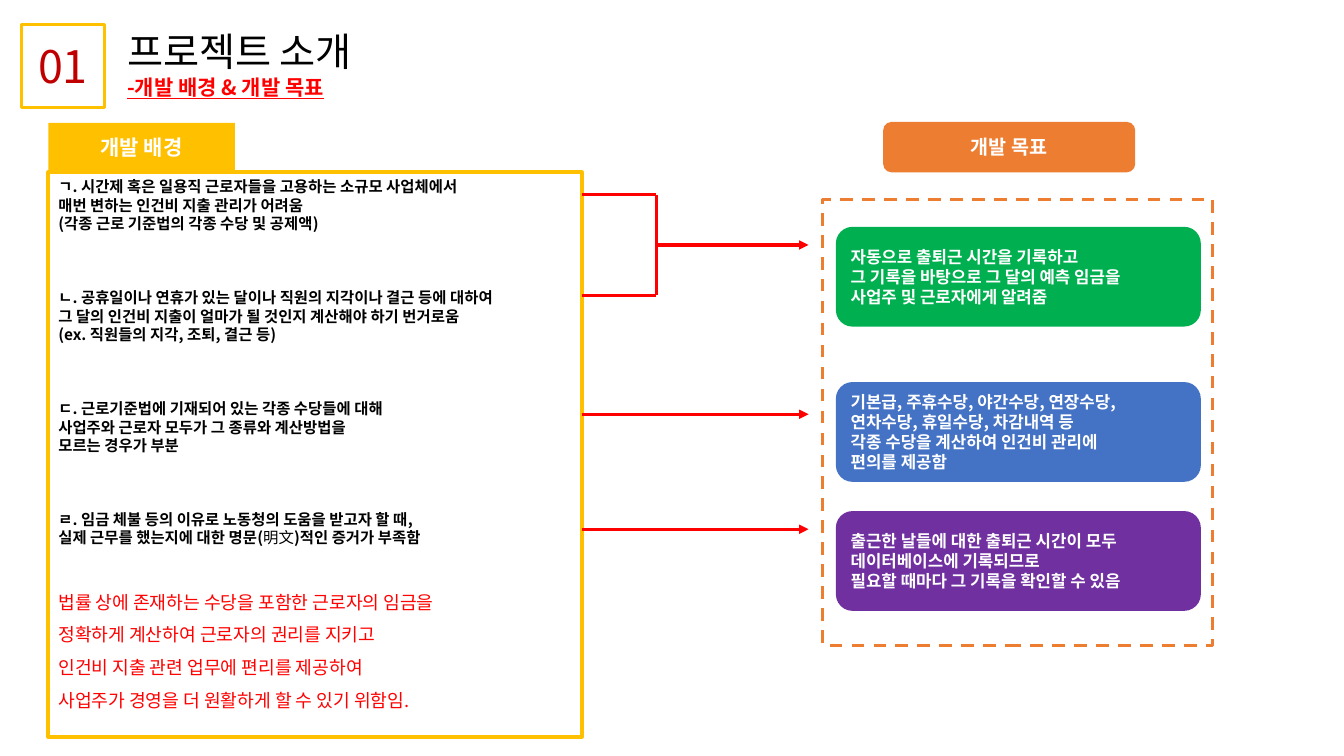
import pptx
import pptx.util
import pptx.dml.color
import pptx.enum.dml
import pptx.enum.shapes
import pptx.enum.text
import pptx.oxml
import pptx.oxml.ns
from pptx.util import Inches

RGBColor = pptx.dml.color.RGBColor
Shapes = pptx.enum.shapes.MSO_SHAPE
Align = pptx.enum.text.PP_ALIGN
Anchor = pptx.enum.text.MSO_ANCHOR

BLACK = RGBColor(0x00, 0x00, 0x00)
WHITE = RGBColor(0xFF, 0xFF, 0xFF)
RED = RGBColor(0xFF, 0x00, 0x00)
DARK_RED = RGBColor(0xC0, 0x00, 0x00)
GOLD = RGBColor(0xFF, 0xC0, 0x00)
ORANGE = RGBColor(0xED, 0x7D, 0x31)
GREEN = RGBColor(0x00, 0xB0, 0x50)
BLUE = RGBColor(0x44, 0x72, 0xC4)
PURPLE = RGBColor(0x70, 0x30, 0xA0)
FONT = "Noto Sans CJK KR"

PROBLEMS = [
    ["ㄱ. 시간제 혹은 일용직 근로자들을 고용하는 소규모 사업체에서",
     "매번 변하는 인건비 지출 관리가 어려움",
     "(각종 근로 기준법의 각종 수당 및 공제액)"],
    ["ㄴ. 공휴일이나 연휴가 있는 달이나 직원의 지각이나 결근 등에 대하여",
     "그 달의 인건비 지출이 얼마가 될 것인지 계산해야 하기 번거로움",
     "(ex. 직원들의 지각, 조퇴, 결근 등)"],
    ["ㄷ. 근로기준법에 기재되어 있는 각종 수당들에 대해",
     "사업주와 근로자 모두가 그 종류와 계산방법을",
     "모르는 경우가 부분"],
    ["ㄹ. 임금 체불 등의 이유로 노동청의 도움을 받고자 할 때,",
     "실제 근무를 했는지에 대한 명문(|明文|)적인 증거가 부족함"],
]
PURPOSE = [
    "법률 상에 존재하는 수당을 포함한 근로자의 임금을",
    "정확하게 계산하여 근로자의 권리를 지키고",
    "인건비 지출 관련 업무에 편리를 제공하여",
    "사업주가 경영을 더 원활하게 할 수 있기 위함임.",
]
GOALS = [
    (0.27, GREEN, ["자동으로 출퇴근 시간을 기록하고",
                   "그 기록을 바탕으로 그 달의 예측 임금을",
                   "사업주 및 근로자에게 알려줌"]),
    (1.81, BLUE, ["기본급, 주휴수당, 야간수당, 연장수당,",
                  "연차수당, 휴일수당, 차감내역 등",
                  "각종 수당을 계산하여 인건비 관리에",
                  "편의를 제공함"]),
    (3.09, PURPLE, ["출근한 날들에 대한 출퇴근 시간이 모두 데이터베이스에 기록되므로",
                    "필요할 때마다 그 기록을 확인할 수 있음"]),
]


def style_span(span, size, color, bold=False):
    """Set the font of one run for Latin and Korean letters."""
    span.font.name = FONT
    span.font.size = pptx.util.Pt(size)
    span.font.bold = bold
    span.font.color.rgb = color
    east = pptx.oxml.parse_xml(
        f'<a:ea {pptx.oxml.ns.nsdecls("a")} typeface="{FONT}"/>')
    span.font._element.find(pptx.oxml.ns.qn("a:latin")).addnext(east)


def write_lines(shape, lines, size, color, bold=False, align=Align.LEFT):
    """Write one formatted paragraph for each line."""
    shape.text_frame.text = "\n".join(lines)
    for para in shape.text_frame.paragraphs:
        para.alignment = align
        for span in para.runs:
            style_span(span, size, color, bold)


def add_box(page, kind, box, fill=None, line=None, width=0.0):
    """Add a flat shape in a box given in inches."""
    shape = page.shapes.add_shape(kind, *map(Inches, box))
    shape.shadow.inherit = False
    shape.text_frame.word_wrap = True
    shape.text_frame.vertical_anchor = Anchor.MIDDLE
    if fill is None:
        shape.fill.background()
    else:
        shape.fill.solid()
        shape.fill.fore_color.rgb = fill
    if line is None:
        shape.line.fill.background()
    else:
        shape.line.color.rgb = line
        shape.line.width = pptx.util.Pt(width)
    return shape


def add_line(page, start, end, arrow=False):
    """Add a red line, with an arrowhead at its end if wanted."""
    link = page.shapes.add_connector(
        pptx.enum.shapes.MSO_CONNECTOR.STRAIGHT, *map(Inches, start + end))
    link.line.color.rgb = RED
    link.line.width = pptx.util.Pt(2.25)
    names = pptx.oxml.ns.nsdecls("a")
    if arrow:
        link.line._get_or_add_ln().append(
            pptx.oxml.parse_xml(f'<a:tailEnd {names} type="triangle"/>'))
    link._element.spPr.append(pptx.oxml.parse_xml(f"<a:effectLst {names}/>"))


def add_header(page, left, top):
    """Place the numbered badge and the two-line title."""
    badge = add_box(page, Shapes.RECTANGLE, (left, top, 0.83, 0.83),
                    line=GOLD, width=2.25)
    write_lines(badge, ["01"], 32, DARK_RED, align=Align.CENTER)
    title = page.shapes.title
    title.left, title.top = Inches(left + 0.95), Inches(top - 0.02)
    title.width, title.height = Inches(5.12), Inches(0.82)
    title.text_frame.auto_size = pptx.enum.text.MSO_AUTO_SIZE.NONE
    title.text_frame.vertical_anchor = Anchor.TOP
    write_lines(title, ["프로젝트 소개", "-개발 배경 & 개발 목표"], 28, BLACK)
    subtitle = title.text_frame.paragraphs[1].runs[0].font
    subtitle.size = pptx.util.Pt(15)
    subtitle.bold = subtitle.underline = True
    subtitle.color.rgb = RED


def add_background(page, left, top, width, height):
    """Place the tab and the panel of problems and purpose."""
    panel = add_box(page, Shapes.RECTANGLE, (left, top, width, height),
                    line=GOLD, width=3)
    frame = panel.text_frame
    frame.vertical_anchor = Anchor.TOP
    groups = PROBLEMS + [PURPOSE]
    frame.text = "\n".join(line for group in groups for line in group)
    paras = iter(frame.paragraphs)
    for group in groups:
        purpose = group is PURPOSE
        for index, line in enumerate(group):
            para = next(paras)
            para.alignment = Align.LEFT
            para.line_spacing = 1.5 if purpose else 1.0
            if index == 0 and group is not groups[0]:
                para.space_before = pptx.util.Pt(23.6 if purpose else 39.6)
            para.text = ""
            for position, part in enumerate(line.split("|")):
                span = para.add_run()
                span.text = part
                bold = not purpose and position != 1
                style_span(span, 13 if purpose else 11,
                           RED if purpose else BLACK, bold)
    tab = add_box(page, Shapes.RECTANGLE, (left, top - 0.49, 1.85, 0.47), GOLD)
    write_lines(tab, ["개발 배경"], 15, WHITE, True, Align.CENTER)


def add_links(page, left, right):
    """Join the first two problems in a bracket and point at the goals."""
    fork, upper, lower = 6.51, 1.93, 2.93
    middle = (upper + lower) / 2
    add_line(page, (fork, upper), (fork, lower))
    for level in (upper, lower):
        add_line(page, (left, level), (fork, level))
    for start, level in ((fork, middle), (left, 4.11), (left, 5.25)):
        add_line(page, (start, level), (right, level), arrow=True)


def add_goals(page, left, top, width, height):
    """Place the heading, the goal cards and their dashed frame."""
    for offset, color, lines in GOALS:
        card = add_box(page, Shapes.ROUNDED_RECTANGLE,
                       (left + 0.13, top + offset, 3.62, 0.99), color)
        write_lines(card, lines, 12, WHITE, True)
    heading = add_box(page, Shapes.ROUNDED_RECTANGLE,
                      (left + 0.6, top - 0.77, 2.5, 0.5), ORANGE)
    write_lines(heading, ["개발 목표"], 14, WHITE, True, Align.CENTER)
    border = add_box(page, Shapes.RECTANGLE, (left, top, width, height),
                     line=ORANGE, width=2.25)
    border.line.dash_style = pptx.enum.dml.MSO_LINE.DASH


def main():
    """Build the slide and save the deck."""
    deck = pptx.Presentation()
    deck.slide_width, deck.slide_height = Inches(13.33), Inches(7.5)
    page = deck.slides.add_slide(deck.slide_layouts.get_by_name("Title Only"))
    add_header(page, 0.21, 0.24)
    add_background(page, 0.48, 1.71, 5.29, 5.6)
    add_links(page, 5.77, 8.02)
    add_goals(page, 8.16, 1.98, 3.87, 4.42)
    deck.save("out.pptx")


if __name__ == "__main__":
    main()
